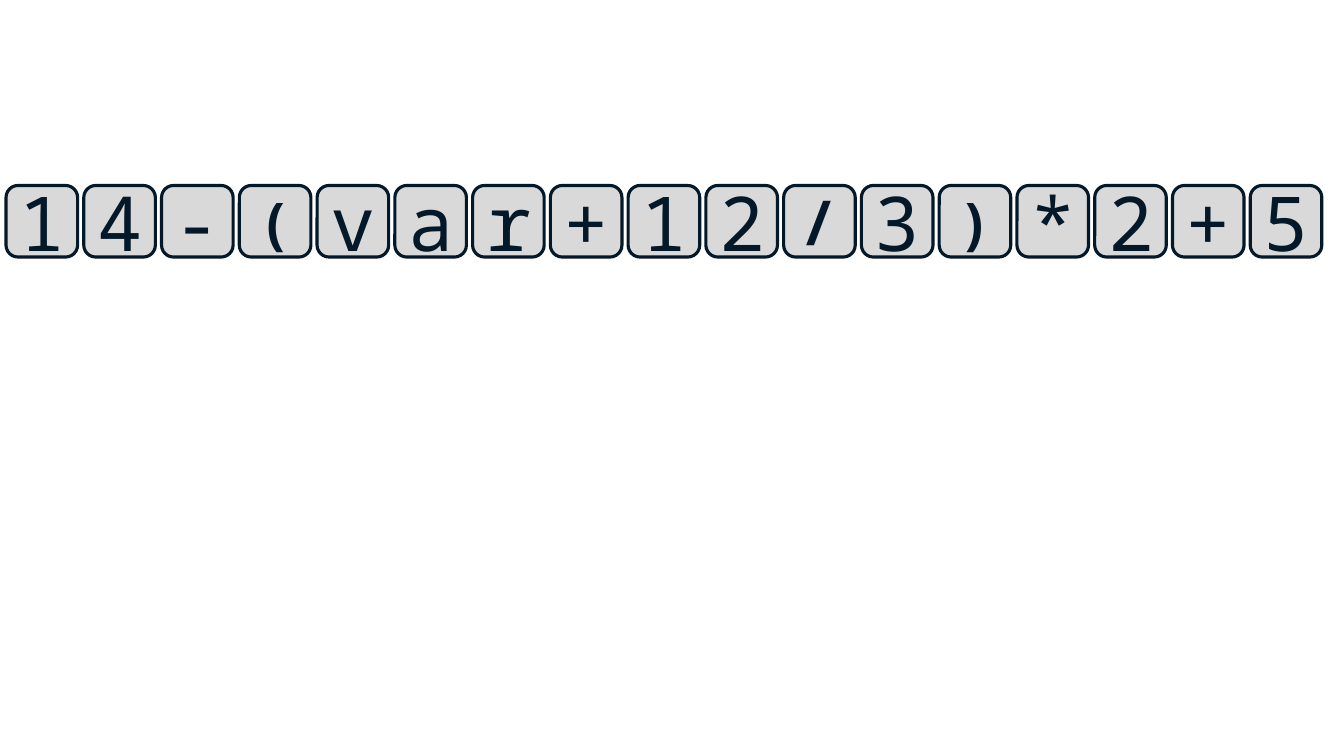
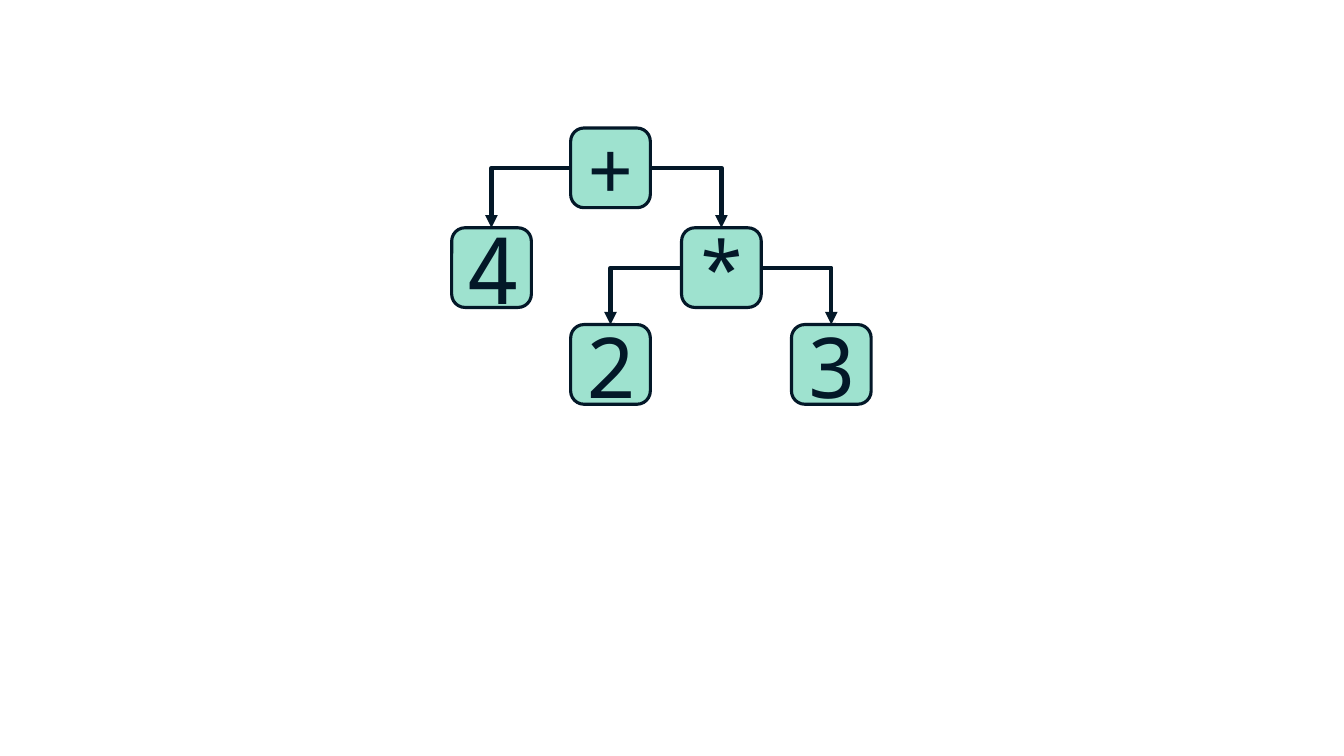
import pptx
import pptx.util
import pptx.dml.color
import pptx.enum.shapes
import pptx.enum.text
import pptx.oxml
import pptx.oxml.ns

Inches = pptx.util.Inches
Pt = pptx.util.Pt
COLORS = {"ink": "031828", "token": "D9D9D9", "node": "9EE2CF"}
FONT = "Noto Sans Mono"
LEFT, RIGHT, TOP = 1, 3, 0  # connection sites of a rounded box


def color(name):
    return pptx.dml.color.RGBColor.from_string(COLORS[name])


class Deck:
    def __init__(self):
        self.prs = pptx.Presentation()
        self.prs.slide_width = Inches(13.33)
        self.prs.slide_height = Inches(7.5)
        self.slide = None

    def page(self):
        self.slide = self.prs.slides.add_slide(self.prs.slide_layouts[6])

    def box(self, text, left, top, side, fill, size, bold=False):
        kind = pptx.enum.shapes.MSO_SHAPE.ROUNDED_RECTANGLE
        box = self.slide.shapes.add_shape(
            kind, Inches(left), Inches(top), Inches(side), Inches(side))
        box.shadow.inherit = False
        box.fill.solid()
        box.fill.fore_color.rgb = color(fill)
        box.line.color.rgb = color("ink")
        box.line.width = Pt(2.25)
        frame = box.text_frame
        frame.text = text
        frame.vertical_anchor = pptx.enum.text.MSO_ANCHOR.MIDDLE
        para = frame.paragraphs[0]
        para.alignment = pptx.enum.text.PP_ALIGN.CENTER
        font = para.runs[0].font
        font.name, font.size, font.bold = FONT, Pt(size), bold
        font.color.rgb = color("ink")
        return box

    def arrow(self, parent, child):
        """Run sideways out of the parent, then down to the child."""
        right = child.left > parent.left
        start = parent.left + (parent.width if right else 0)
        line = self.slide.shapes.add_connector(
            pptx.enum.shapes.MSO_CONNECTOR.ELBOW,
            start, parent.top + parent.height // 2,
            child.left + child.width // 2, child.top)
        line.begin_connect(parent, RIGHT if right else LEFT)
        line.end_connect(child, TOP)
        line.line.color.rgb = color("ink")
        line.line.width = Pt(3)
        # One bend, an arrowhead and no shadow
        props = line.element.spPr
        props.find(pptx.oxml.ns.qn("a:prstGeom")).set("prst", "bentConnector2")
        space = pptx.oxml.ns.nsdecls("a")
        head = pptx.oxml.parse_xml(f'<a:tailEnd {space} type="triangle"/>')
        props.find(pptx.oxml.ns.qn("a:ln")).append(head)
        props.append(pptx.oxml.parse_xml(f"<a:effectLst {space}/>"))


def tokens(deck):
    deck.page()
    small = {"(": 40, ")": 40, "/": 44}  # tall signs, set smaller and bold
    chars = "14-(var+12/3)*2+5"
    first, last = 0.06, 12.4
    step = (last - first) / (len(chars) - 1)
    for i, char in enumerate(chars):
        deck.box(char, first + i * step, 1.84, 0.71, "token",
                 small.get(char, 54), char in small)


def tree(deck):
    deck.page()
    # Sign, left, top, text size
    nodes = [("+", 5.66, 1.27, 60), ("4", 4.48, 2.26, 66),
             ("*", 6.76, 2.26, 60), ("2", 5.66, 3.22, 60),
             ("3", 7.85, 3.22, 60)]
    boxes = {sign: deck.box(sign, left, top, 0.79, "node", size)
             for sign, left, top, size in nodes}
    for parent, child in ("+4", "+*", "*2", "*3"):
        deck.arrow(boxes[parent], boxes[child])


def main():
    deck = Deck()
    tokens(deck)
    tree(deck)
    deck.prs.save("out.pptx")


if __name__ == "__main__":
    main()
